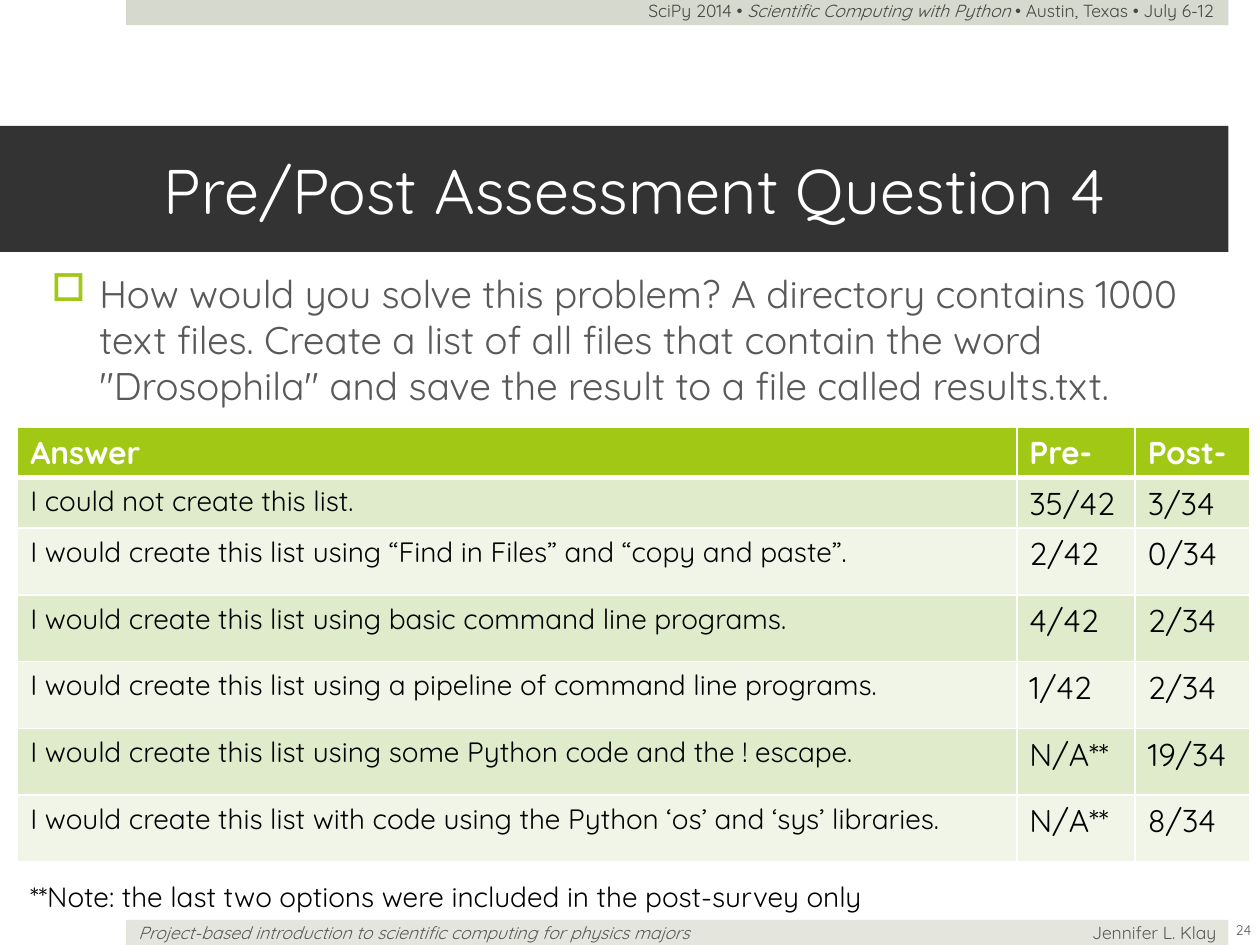
"""Build the slide on pre/post assessment question 4."""
import lxml.etree
import pptx
import pptx.dml.color
import pptx.enum.shapes
import pptx.enum.text
import pptx.oxml.ns
import pptx.util
from dataclasses import dataclass

Inches = pptx.util.Inches
Pt = pptx.util.Pt
ALIGN = pptx.enum.text.PP_ALIGN
ANCHOR = pptx.enum.text.MSO_ANCHOR


@dataclass(frozen=True)
class Theme:
    font: str = "Quicksand"
    white: str = "FFFFFF"
    black: str = "000000"
    dark: str = "333333"
    header_text: str = "474747"
    gray: str = "595959"
    green: str = "A2C816"
    header_band: str = "D6D9CD"
    footer_band: str = "E4E6DE"
    row_bands: tuple = ("E0EBCC", "F0F5E8")
    title_size: int = 36
    body_size: int = 22
    table_size: int = 18
    answer_size: int = 16
    footer_size: int = 10
    number_size: int = 8


def rgb(value):
    return pptx.dml.color.RGBColor.from_string(value)


def add_element(parent, tag, **attributes):
    return lxml.etree.SubElement(parent, pptx.oxml.ns.qn(tag), **attributes)


class SlideBuilder:
    def __init__(self, presentation, theme):
        self.theme = theme
        self.slide = presentation.slides.add_slide(presentation.slide_layouts[6])

    def add_runs(self, paragraph, runs, size, color, bold=False):
        for text, italic in runs:
            run = paragraph.add_run()
            run.text = text
            values = {"name": self.theme.font, "size": Pt(size), "bold": bold, "italic": italic}
            for name, value in values.items():
                setattr(run.font, name, value)
            run.font.color.rgb = rgb(color)

    def band(self, box, color):
        shape = self.slide.shapes.add_shape(
            pptx.enum.shapes.MSO_SHAPE.RECTANGLE, *map(Inches, box))
        shape.shadow.inherit = False
        shape.fill.solid()
        shape.fill.fore_color.rgb = rgb(color)
        shape.line.fill.background()
        return shape

    def title(self, box, text):
        frame = self.band(box, self.theme.dark).text_frame
        values = {"word_wrap": True, "vertical_anchor": ANCHOR.MIDDLE,
                  "margin_left": Inches(1.3), "margin_right": Inches(0.3)}
        for name, value in values.items():
            setattr(frame, name, value)
        frame.paragraphs[0].alignment = ALIGN.LEFT
        self.add_runs(frame.paragraphs[0], [(text, False)], self.theme.title_size, self.theme.white)

    def text(self, box, runs, size, color, align=ALIGN.LEFT, anchor=ANCHOR.TOP, bullet=None):
        frame = self.slide.shapes.add_textbox(*map(Inches, box)).text_frame
        frame.word_wrap = True
        frame.vertical_anchor = anchor
        paragraph = frame.paragraphs[0]
        paragraph.alignment = align
        if bullet:
            self.bullet(paragraph, bullet)
        self.add_runs(paragraph, runs, size, color)

    def bullet(self, paragraph, character):
        properties = paragraph._p.get_or_add_pPr()
        indent = Inches(0.38)
        properties.set("marL", str(indent))
        properties.set("indent", str(-indent))
        color = add_element(properties, "a:buClr")
        add_element(color, "a:srgbClr", val=self.theme.green)
        add_element(properties, "a:buChar", char=character)

    def borders(self, cell, widths):
        properties = cell._tc.get_or_add_tcPr()
        for side, width in widths.items():
            line = add_element(properties, f"a:ln{side}", w=str(Pt(width)))
            fill = add_element(line, "a:solidFill")
            add_element(fill, "a:srgbClr", val=self.theme.white)

    def table(self, box, widths, heights, rows):
        theme = self.theme
        table = self.slide.shapes.add_table(len(rows), len(widths), *map(Inches, box)).table
        for column, width in zip(table.columns, widths):
            column.width = Inches(width)
        for row, height in zip(table.rows, heights):
            row.height = Inches(height)
        for row_index, row in enumerate(rows):
            header = row_index == 0
            band = theme.green if header else theme.row_bands[(row_index - 1) % 2]
            color = theme.white if header else theme.black
            for column_index, text in enumerate(row):
                cell = table.cell(row_index, column_index)
                self.borders(cell, {"L": 1, "R": 1, "T": 3 if row_index == 1 else 1,
                                    "B": 3 if header else 1})
                cell.fill.solid()
                cell.fill.fore_color.rgb = rgb(band)
                is_answer = column_index == 0 and not header
                size = theme.answer_size if is_answer else theme.table_size
                self.add_runs(cell.text_frame.paragraphs[0], [(text, False)], size, color, header)


def main():
    presentation = pptx.Presentation()
    presentation.slide_width = Inches(10)
    presentation.slide_height = Inches(7.5)
    theme = Theme()
    builder = SlideBuilder(presentation, theme)

    builder.band((1, 7.3, 8.75, 0.2), theme.footer_band)
    builder.band((1, 0, 8.75, 0.2), theme.header_band)
    builder.text((1, 7.3, 5.41, 0.2),
                 [("Project-based introduction to scientific computing for physics majors", True)],
                 theme.footer_size, theme.gray, anchor=ANCHOR.MIDDLE)
    builder.text((8.25, 7.3, 1.5, 0.2), [("Jennifer L. Klay", False)],
                 theme.footer_size, theme.gray, ALIGN.RIGHT, ANCHOR.MIDDLE)
    builder.text((4.73, -0.05, 5, 0.27),
                 [("SciPy 2014 • ", False), ("Scientific Computing with Python ", True),
                  ("• Austin, Texas • July 6-12", False)],
                 theme.footer_size, theme.header_text, ALIGN.RIGHT)

    builder.title((0, 1, 9.75, 1), "Pre/Post Assessment Question 4")
    question = ("How would you solve this problem? A directory contains 1000 text files. "
                "Create a list of all files that contain the word \"Drosophila\" "
                "and save the result to a file called results.txt.")
    builder.text((0.31, 2.09, 9.43, 4.66), [(question, False)],
                 theme.body_size, theme.gray, bullet="□")
    builder.text((9.62, 7.18, 0.5, 0.4), [("24", False)],
                 theme.number_size, theme.gray, ALIGN.CENTER, ANCHOR.MIDDLE)
    builder.text((0.14, 6.93, 8.75, 0.37),
                 [("**Note: the last two options were included in the post-survey only", False)],
                 theme.answer_size, theme.black)

    rows = [
        ("Answer", "Pre-", "Post-"),
        ("I could not create this list.", "35/42", "3/34"),
        ("I would create this list using “Find in Files” and “copy and paste”.", "2/42", "0/34"),
        ("I would create this list using basic command line programs.", "4/42", "2/34"),
        ("I would create this list using a pipeline of command line programs.", "1/42", "2/34"),
        ("I would create this list using some Python code and the ! escape.", "N/A**", "19/34"),
        ("I would create this list with code using the Python ‘os’ and ‘sys’ libraries.",
         "N/A**", "8/34"),
    ]
    builder.table((0.14, 3.39, 9.77, 3.45), (7.93, 0.94, 0.91),
                  [0.31] * 2 + [0.53] * 5, rows)
    presentation.save("out.pptx")


if __name__ == "__main__":
    main()
